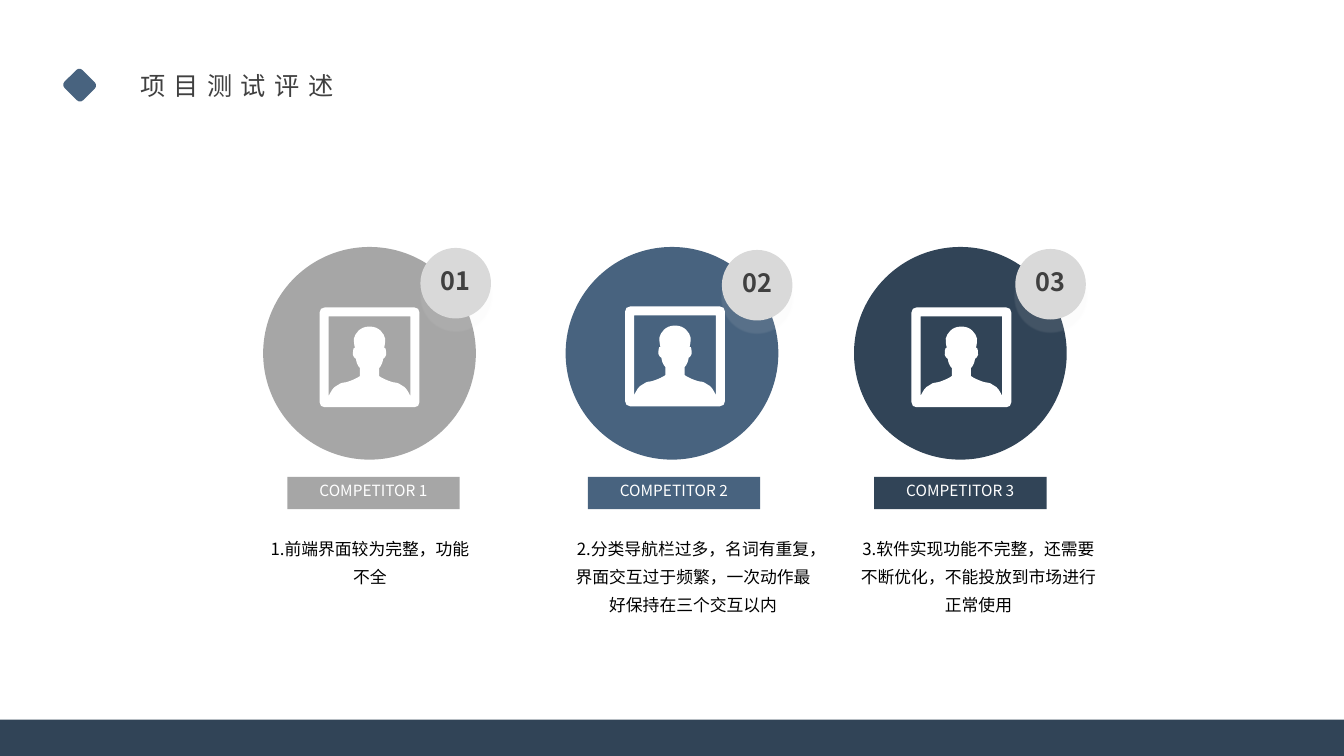
"""Build the project test review slide with three competitor columns."""
from lxml.etree import SubElement
from pptx import Presentation
from pptx.dml.color import RGBColor
from pptx.enum.shapes import MSO_SHAPE as Preset
from pptx.enum.text import MSO_ANCHOR as Anchor, MSO_AUTO_SIZE as AutoSize, PP_ALIGN as Align
from pptx.oxml.ns import qn
from pptx.util import Inches, Pt

FONT = "Noto Sans CJK SC"
COLORS = {"gray": "A6A6A6", "blue": "48637F", "navy": "314457", "badge": "D9D9D9",
          "ink": "404040", "black": "000000", "white": "FFFFFF", "shade": "E7E6E6"}
TITLE = "项目测试评述"
COMPETITORS = [
    {"number": "01", "color": "gray", "disc": 2.61, "badge": (4.17, 2.46), "label": 2.85,
     "icon": (3.17, 3.05), "review": (2.57, 2.2), "text": "1.前端界面较为完整，功能不全"},
    {"number": "02", "color": "blue", "disc": 5.61, "badge": (7.16, 2.48), "label": 5.83,
     "icon": (6.2, 3.04), "review": (5.59, 2.57),
     "text": "2.分类导航栏过多，名词有重复，界面交互过于频繁，一次动作最好保持在三个交互以内"},
    {"number": "03", "color": "navy", "disc": 8.47, "badge": (10.07, 2.47), "label": 8.67,
     "icon": (9.04, 3.05), "review": (8.42, 2.57),
     "text": "3.软件实现功能不完整，还需要不断优化，不能投放到市场进行正常使用"},
]
WIDTH, HEIGHT = 13.33, 7.5
DISC_TOP, DISC_SIZE, BADGE_SIZE = 2.45, 2.11, 0.7
LABEL_TOP, LABEL_SIZE = 4.73, (1.71, 0.32)
REVIEW_TOP, REVIEW_HEIGHT = 5.22, 0.92
BAR_HEIGHT = 0.36
ICON_SIZE = 0.99
CORNER = [(0.05, 0), (0.02, 0), (0, 0.02), (0, 0.05)]
HALF_PERSON = [
    [(0.09, 0.88), (0.11, 0.84), (0.13, 0.79), (0.18, 0.77)],
    [(0.18, 0.77), (0.24, 0.73), (0.22, 0.76), (0.30, 0.73)],
    [(0.30, 0.73), (0.38, 0.70), (0.40, 0.68), (0.40, 0.68)],
    [(0.40, 0.60), (0.40, 0.60), (0.37, 0.58), (0.36, 0.51)],
    [(0.36, 0.51), (0.34, 0.51), (0.34, 0.48), (0.33, 0.47)],
    [(0.33, 0.47), (0.33, 0.45), (0.33, 0.39), (0.35, 0.40)],
    [(0.35, 0.40), (0.34, 0.36), (0.34, 0.33), (0.34, 0.31)],
    [(0.34, 0.31), (0.35, 0.26), (0.40, 0.19), (0.49, 0.19)],
]


def rgb(name):
    return RGBColor.from_string(COLORS[name])


def mirror(curves):
    return [[(round(ICON_SIZE - x, 2), y) for x, y in reversed(curve)]
            for curve in reversed(curves)]


def link(start, curves):
    """Chain curves into points, three per step, with straight steps over gaps."""
    points = [start]
    for first, *rest in curves:
        if first != points[-1]:
            points += [first] * 3
        points += rest
    return points


def icon_outlines():
    """Return the frame and the opening around the person."""
    left = [CORNER, [(x, round(ICON_SIZE - y, 2)) for x, y in reversed(CORNER)]]
    frame = link(CORNER[0], left + mirror(left))
    opening = link((0.09, 0.09), HALF_PERSON + mirror(HALF_PERSON))
    return frame, opening + [(0.9, 0.09)] * 3


def paint(shape, color):
    shape.shadow.inherit = False
    shape.fill.solid()
    shape.fill.fore_color.rgb = rgb(color)
    shape.line.fill.background()
    return shape


def add_block(shapes, preset, box, color):
    return paint(shapes.add_shape(preset, *map(Inches, box)), color)


def write(shape, text, size, color, align=Align.CENTER, bold=False):
    shape.text_frame.text = text
    paragraph = shape.text_frame.paragraphs[0]
    paragraph.alignment = align
    run = paragraph.runs[0]
    run.font.size, run.font.bold, run.font.name = Pt(size), bold, FONT
    run.font.color.rgb = rgb(color)
    SubElement(run.font._element, qn("a:ea"), typeface=FONT)
    return paragraph


def inset(shape, margins, anchor):
    frame = shape.text_frame
    frame.margin_left, frame.margin_top, frame.margin_right, frame.margin_bottom = map(Inches, margins)
    frame.vertical_anchor = anchor


def add_shade(shape):
    effects = shape._element.spPr.find(qn("a:effectLst"))
    shadow = SubElement(effects, qn("a:outerShdw"), blurRad=str(Pt(1)), dist=str(Pt(9)),
                        dir="5400000", algn="t", rotWithShape="0")
    tint = SubElement(shadow, qn("a:srgbClr"), val=COLORS["shade"])
    SubElement(tint, qn("a:alpha"), val="9000")


def bend(shape):
    """Turn each three line steps into one cubic curve."""
    lines = iter(list(shape._element.iter(qn("a:lnTo"))))
    for first, second, third in zip(lines, lines, lines):
        first.tag = qn("a:cubicBezTo")
        for step in (second, third):
            first.append(step[0])
            step.getparent().remove(step)


def add_icon(shapes, left, top):
    frame, opening = ([(Inches(left + x), Inches(top + y)) for x, y in outline]
                      for outline in icon_outlines())
    builder = shapes.build_freeform(*frame[0])
    builder.add_line_segments(frame[1:])
    builder.move_to(*opening[0])
    builder.add_line_segments(opening[1:])
    bend(paint(builder.convert_to_shape(), "white"))


def add_competitor(slide, index, item):
    shapes = slide.shapes.add_group_shape().shapes
    add_block(shapes, Preset.OVAL, (item["disc"], DISC_TOP, DISC_SIZE, DISC_SIZE), item["color"])
    badge = add_block(shapes, Preset.OVAL, (*item["badge"], BADGE_SIZE, BADGE_SIZE), "badge")
    add_shade(badge)
    inset(badge, (0, 0, 0, 0.05), Anchor.MIDDLE)
    write(badge, item["number"], 18, "ink", bold=True)
    label = add_block(shapes, Preset.RECTANGLE, (item["label"], LABEL_TOP, *LABEL_SIZE), item["color"])
    inset(label, (0.13, 0.07, 0.13, 0.12), Anchor.MIDDLE)
    write(label, f"COMPETITOR {index}", 11, "white")
    add_icon(shapes, *item["icon"])


def add_review(slide, item):
    left, width = item["review"]
    review = slide.shapes.add_textbox(*map(Inches, (left, REVIEW_TOP, width, REVIEW_HEIGHT)))
    review.text_frame.word_wrap = True
    review.text_frame.auto_size = AutoSize.SHAPE_TO_FIT_TEXT
    write(review, item["text"], 12, "black").line_spacing = Pt(20)


def add_heading(slide):
    diamond = add_block(slide.shapes, Preset.ROUNDED_RECTANGLE, (0.66, 0.72, 0.26, 0.25), "blue")
    diamond.rotation = 45
    title = slide.shapes.title
    title.left, title.top, title.width, title.height = map(Inches, (1.29, 0.65, 2.2, 0.4))
    title.text_frame.word_wrap = False
    title.text_frame.auto_size = AutoSize.SHAPE_TO_FIT_TEXT
    inset(title, (0.1, 0.05, 0.1, 0.05), Anchor.TOP)
    heading = write(title, TITLE, 18, "ink", Align.LEFT)
    heading.runs[0].font._element.set("spc", "600")


def main():
    deck = Presentation()
    deck.slide_width, deck.slide_height = Inches(WIDTH), Inches(HEIGHT)
    slide = deck.slides.add_slide(deck.slide_layouts[5])
    for index, item in enumerate(COMPETITORS, 1):
        add_competitor(slide, index, item)
    for item in COMPETITORS:
        add_review(slide, item)
    add_heading(slide)
    add_block(slide.shapes, Preset.RECTANGLE, (0, HEIGHT - BAR_HEIGHT, WIDTH, BAR_HEIGHT), "navy")
    deck.save("out.pptx")


if __name__ == "__main__":
    main()
